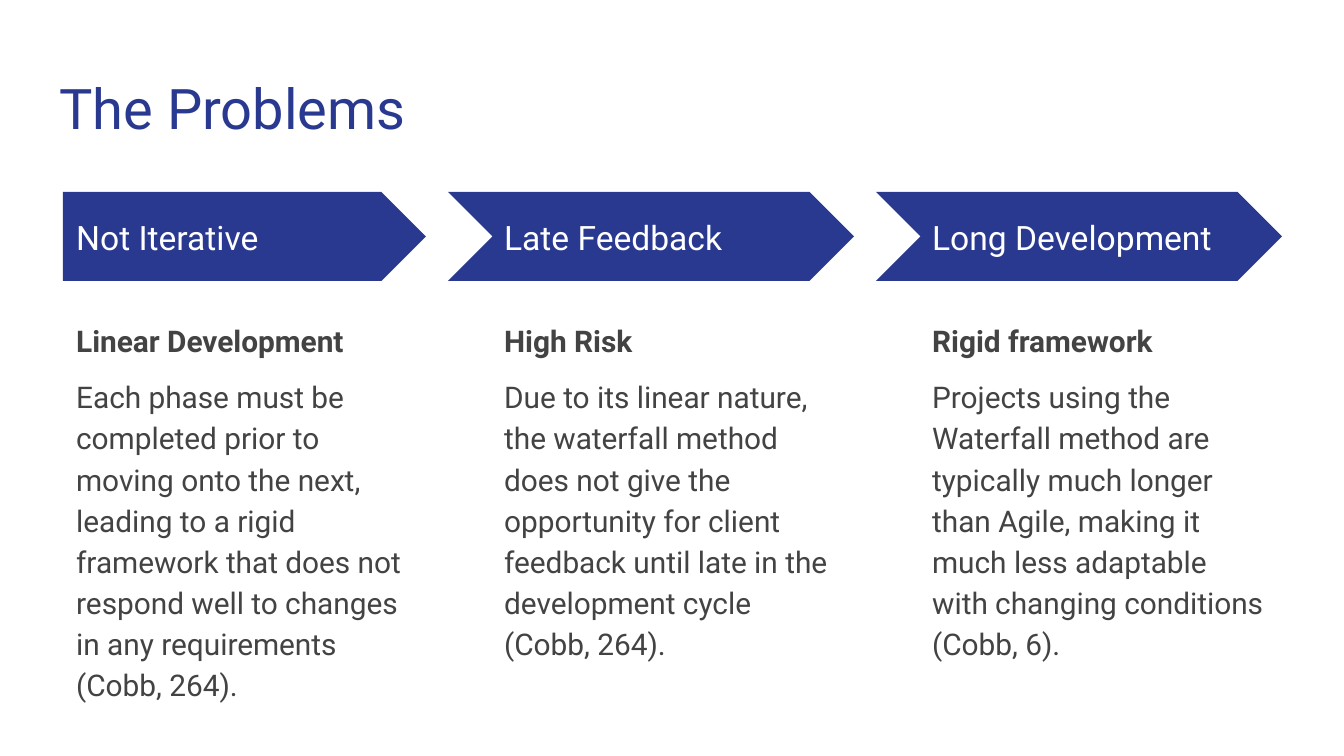
from pptx import Presentation
from pptx.dml.color import RGBColor
from pptx.enum.shapes import MSO_SHAPE as SHAPE
from pptx.enum.text import MSO_ANCHOR as ANCHOR, MSO_AUTO_SIZE as AUTO, PP_ALIGN as ALIGN
from pptx.util import Pt

EMU_PER_PX = 914400 / 134.4
FONT = "Roboto"
COLORS = {"navy": "2A3990", "white": "FFFFFF", "text": "434343"}

LEFT, PITCH, WIDTH, NOTCH = 63, 428, 363, 43
COLUMNS = [
    ("Not Iterative", "Linear Development",
     "Each phase must be completed prior to moving onto the next, leading to a rigid "
     "framework that does not respond well to changes in any requirements (Cobb, 264)."),
    ("Late Feedback", "High Risk",
     "Due to its linear nature, the waterfall method does not give the opportunity for "
     "client feedback until late in the development cycle (Cobb, 264)."),
    ("Long Development", "Rigid framework",
     "Projects using the Waterfall method are typically much longer than Agile, making it "
     "much less adaptable with changing conditions (Cobb, 6)."),
]


def px(n):
    return round(n * EMU_PER_PX)


def color(name):
    return RGBColor.from_string(COLORS[name])


def add_run(p, text, size, color_name, bold=False):
    r = p.add_run()
    r.text = text
    r.font.name = FONT
    r.font.size = Pt(size)
    r.font.bold = bold
    r.font.color.rgb = color(color_name)


def format_frame(tf, anchor):
    tf.word_wrap = True
    tf.auto_size = AUTO.NONE
    tf.vertical_anchor = anchor
    tf.margin_left = tf.margin_right = tf.margin_top = tf.margin_bottom = Pt(7.2)


def set_title(s, text):
    sp = s.shapes.title
    sp.left, sp.top, sp.width, sp.height = px(46), px(60), px(1253), px(89)
    format_frame(sp.text_frame, ANCHOR.TOP)
    p = sp.text_frame.paragraphs[0]
    p.alignment = ALIGN.LEFT
    add_run(p, text, 30, "navy")


def add_arrow(s, kind, x, width):
    sp = s.shapes.add_shape(kind, px(x), px(192), px(width), px(89))
    sp.adjustments[0] = 0.5
    sp.shadow.inherit = False
    sp.fill.solid()
    sp.fill.fore_color.rgb = color("navy")
    sp.line.fill.background()


def add_text(s, x, y, w, h, anchor=ANCHOR.TOP):
    tf = s.shapes.add_textbox(px(x), px(y), px(w), px(h)).text_frame
    format_frame(tf, anchor)
    return tf


def add_column(s, i, label, heading, body):
    x = LEFT + i * PITCH
    if i == 0:
        add_arrow(s, SHAPE.PENTAGON, x, WIDTH)
    else:
        add_arrow(s, SHAPE.CHEVRON, x - NOTCH, WIDTH + NOTCH)

    tf = add_text(s, x, 214, 332, 46, ANCHOR.MIDDLE)
    add_run(tf.paragraphs[0], label, 18, "white")

    tf = add_text(s, x, 304, WIDTH, 390)
    p = tf.paragraphs[0]
    p.line_spacing = 1.15
    add_run(p, heading, 16, "text", bold=True)
    p = tf.add_paragraph()
    p.line_spacing = 1.15
    p.space_before = p.space_after = Pt(8)
    add_run(p, body, 16, "text")


def main():
    prs = Presentation()
    prs.slide_width, prs.slide_height = px(1344), px(756)
    s = prs.slides.add_slide(prs.slide_layouts.get_by_name("Title Only"))
    set_title(s, "The Problems")
    for i, column in enumerate(COLUMNS):
        add_column(s, i, *column)
    prs.save("out.pptx")


if __name__ == "__main__":
    main()
